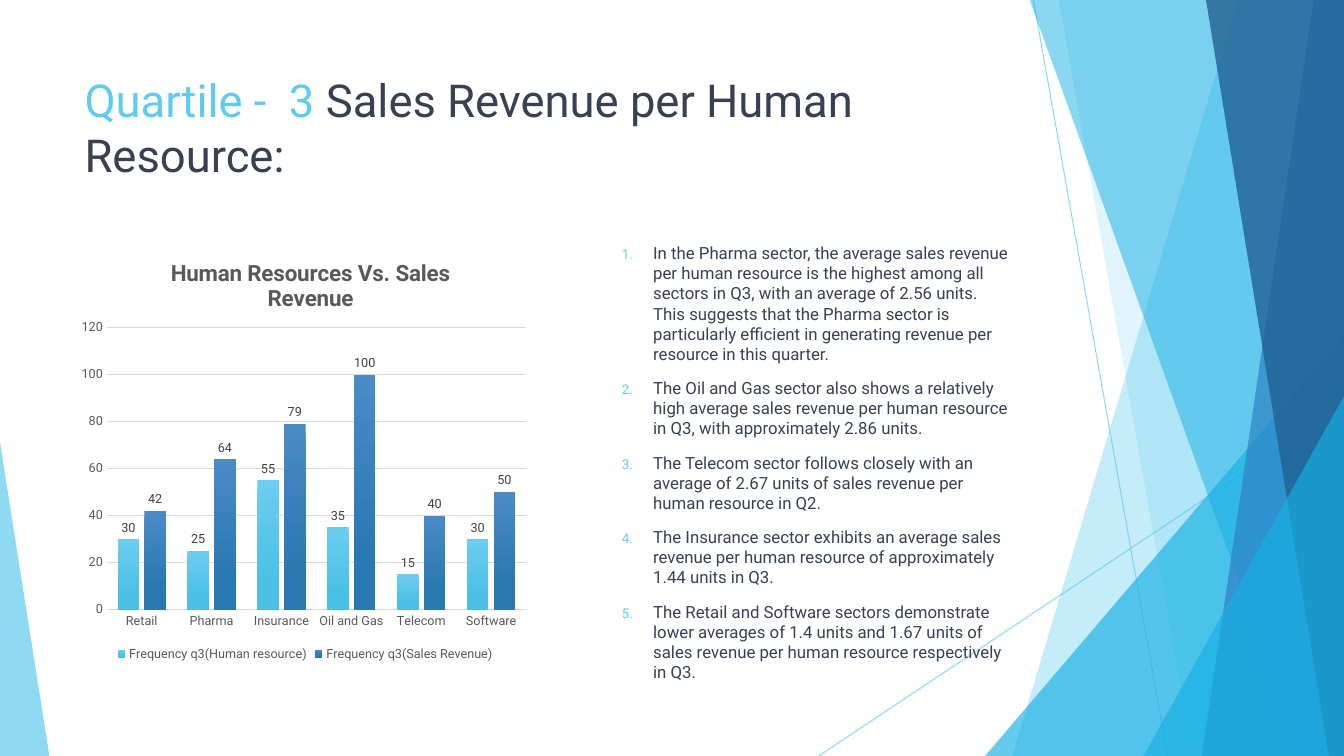
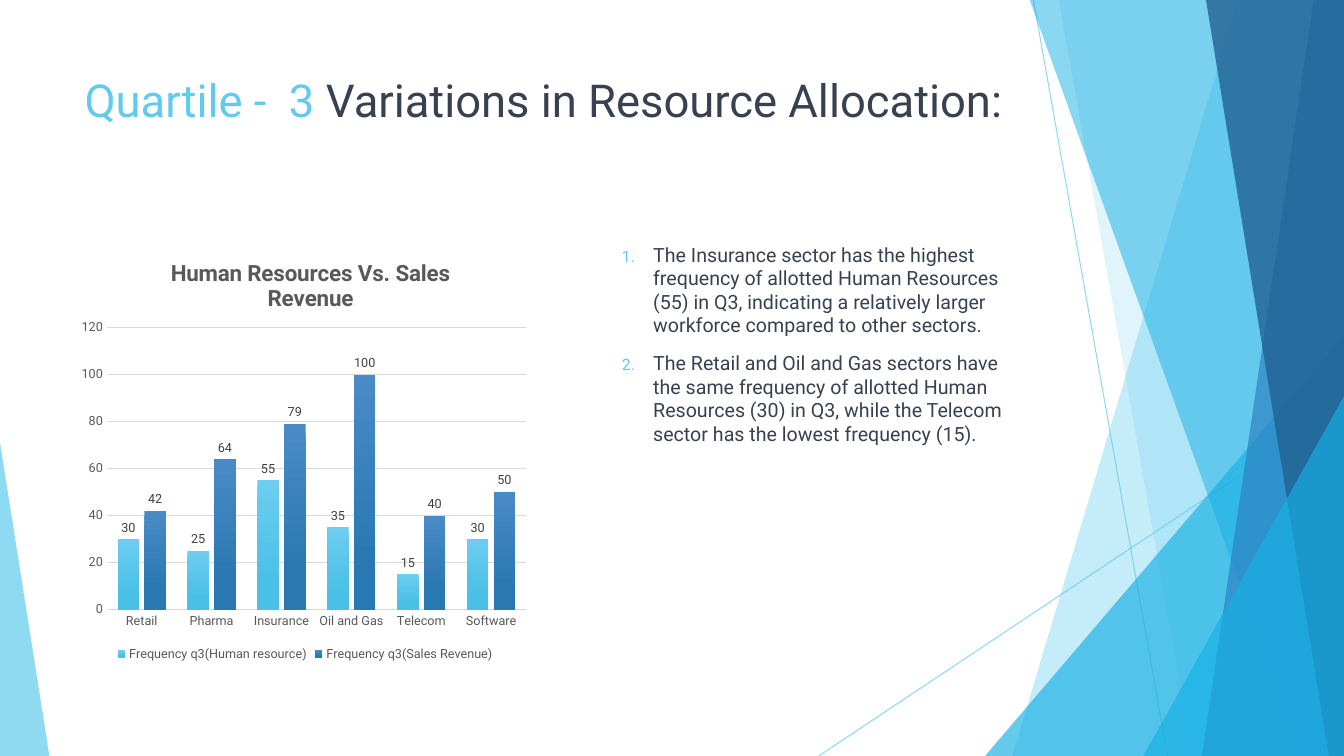
from typing import NamedTuple

import pptx
import pptx.chart.data
import pptx.dml.color
import pptx.enum.chart
import pptx.enum.shapes
import pptx.oxml
import pptx.oxml.ns
import pptx.util
from pptx.util import Inches

FONT = "Roboto"
WIDTH, HEIGHT = 13.33, 7.5
COLORS = {
    "sky": "5FCBEF", "cyan": "17B0E4", "blue": "2E83C3", "navy": "226292",
    "ink": "374151", "label": "404040", "axis": "595959", "grid": "D9D9D9",
}
TITLE_SIZE = 32.4


class Box(NamedTuple):
    left: float
    top: float
    width: float
    height: float

    def emu(self) -> list[int]:
        return [Inches(v) for v in self]


class Band(NamedTuple):
    """Strip along the right edge, given by its left corners."""
    top_x: float
    bottom_x: float
    color: str
    alpha: int


class Triangle(NamedTuple):
    box: Box
    apex: float
    color: str
    alpha: int


class Series(NamedTuple):
    name: str
    values: tuple[int, ...]
    top_color: str
    bottom_color: str


class Page(NamedTuple):
    title: str
    body_size: float
    points: tuple[str, ...]


TITLE_BOX = Box(0.74, 0.67, 9.4, 1.44)
CHART_BOX = Box(0.74, 2.36, 4.57, 4.24)
BODY_BOX = Box(5.57, 2.36, 4.58, 4.24)

RAYS = ((10.25, 0, 11.58, HEIGHT), (WIDTH, 4.03, 8.12, HEIGHT))
DECOR = (
    Band(12.28, 10.04, "sky", 36),
    Band(10.5, 11.83, "sky", 20),
    Triangle(Box(9.77, 3.33, 3.56, 4.17), 1, "cyan", 66),
    Band(10.21, 12.91, "cyan", 50),
    Band(13.03, 11.92, "blue", 70),
    Band(11.96, 13.18, "navy", 80),
    Triangle(Box(11.34, 3.93, 1.99, 3.57), 1, "cyan", 66),
    Triangle(Box(0, 4.39, 0.49, 3.11), 0, "sky", 70),
)

CATEGORIES = ("Retail", "Pharma", "Insurance", "Oil and Gas", "Telecom", "Software")
SERIES = (
    Series("Frequency q3(Human resource)", (30, 25, 55, 35, 15, 30), "6CCDF0", "4BC0E6"),
    Series("Frequency q3(Sales Revenue)", (42, 64, 79, 100, 40, 50), "4A8BC6", "2A78B2"),
)

PAGES = (
    Page("Sales Revenue per Human Resource:", 12, (
        "In the Pharma sector, the average sales revenue per human resource is the highest "
        "among all sectors in Q3, with an average of 2.56 units. This suggests that the Pharma "
        "sector is particularly efficient in generating revenue per resource in this quarter.",
        "The Oil and Gas sector also shows a relatively high average sales revenue per human "
        "resource in Q3, with approximately 2.86 units.",
        "The Telecom sector follows closely with an average of 2.67 units of sales revenue per "
        "human resource in Q2.",
        "The Insurance sector exhibits an average sales revenue per human resource of "
        "approximately 1.44 units in Q3.",
        "The Retail and Software sectors demonstrate lower averages of 1.4 units and 1.67 units "
        "of sales revenue per human resource respectively in Q3.",
    )),
    Page("Variations in Resource Allocation:", 14, (
        "The Insurance sector has the highest frequency of allotted Human Resources (55) in Q3, "
        "indicating a relatively larger workforce compared to other sectors.",
        "The Retail and Oil and Gas sectors have the same frequency of allotted Human Resources "
        "(30) in Q3, while the Telecom sector has the lowest frequency (15).",
    )),
)


def rgb(value: str) -> pptx.dml.color.RGBColor:
    return pptx.dml.color.RGBColor.from_string(COLORS.get(value, value))


def sub(parent, tag: str, **attrs: str):
    """Append a child element such as a:alpha and return it."""
    el = pptx.oxml.parse_xml(f"<{tag} {pptx.oxml.ns.nsdecls(tag.split(':')[0])}/>")
    for key, value in attrs.items():
        el.set(key, value)
    parent.append(el)
    return el


def set_color(fill, color: str, alpha: int) -> None:
    fill.solid()
    fill.fore_color.rgb = rgb(color)
    sub(fill._xPr.find(".//" + pptx.oxml.ns.qn("a:srgbClr")), "a:alpha", val=str(alpha * 1000))


def set_font(font, size: float, color: str, bold: bool = False) -> None:
    font.name, font.size, font.bold = FONT, pptx.util.Pt(size), bold
    font.color.rgb = rgb(color)


def add_run(p, text: str, *, size: float, color: str, bold: bool = False) -> None:
    r = p.add_run()
    r.text = text
    set_font(r.font, size, color, bold)


def add_text_frame(s, box: Box):
    tf = s.shapes.add_textbox(*box.emu()).text_frame
    tf.word_wrap = True
    return tf


def add_decor(s) -> None:
    for x1, y1, x2, y2 in RAYS:
        line = s.shapes.add_connector(
            pptx.enum.shapes.MSO_CONNECTOR.STRAIGHT, *(Inches(v) for v in (x1, y1, x2, y2)))
        line.line.width = pptx.util.Pt(0.75)
        set_color(line.line.fill, "sky", 70)
        sub(line._element.spPr, "a:effectLst")
    for item in DECOR:
        if isinstance(item, Band):
            corners = [(item.top_x, -0.01), (WIDTH, -0.01), (WIDTH, HEIGHT),
                       (item.bottom_x, HEIGHT)]
            start, *rest = [(Inches(x), Inches(y)) for x, y in corners]
            builder = s.shapes.build_freeform(*start)
            builder.add_line_segments(rest, close=True)
            sp = builder.convert_to_shape()
        else:
            sp = s.shapes.add_shape(
                pptx.enum.shapes.MSO_SHAPE.ISOSCELES_TRIANGLE, *item.box.emu())
            sp.adjustments[0] = item.apex
        sp.shadow.inherit = False
        set_color(sp.fill, item.color, item.alpha)
        sp.line.fill.background()


def add_title(s, text: str) -> None:
    p = add_text_frame(s, TITLE_BOX).paragraphs[0]
    add_run(p, "Quartile -  3 ", size=TITLE_SIZE, color="sky")
    add_run(p, text, size=TITLE_SIZE, color="ink")


def add_points(s, points: tuple[str, ...], size: float) -> None:
    tf = add_text_frame(s, BODY_BOX)
    for i, text in enumerate(points):
        p = tf.add_paragraph() if i else tf.paragraphs[0]
        if i:
            p.space_before = pptx.util.Pt(10)
        pPr = p._p.get_or_add_pPr()
        pPr.set("marL", str(Inches(0.81)))
        pPr.set("indent", str(Inches(-0.31)))
        sub(sub(pPr, "a:buClr"), "a:srgbClr", val=COLORS["sky"])
        sub(pPr, "a:buSzPct", val="80000")
        sub(pPr, "a:buFont", typeface=FONT)
        sub(pPr, "a:buAutoNum", type="arabicPeriod")
        add_run(p, text, size=size, color="ink")


def set_layout(parent, **fractions: float) -> None:
    """Place a chart part by fractions of the chart's size."""
    layout = parent.get_or_add_layout() if hasattr(parent, "get_or_add_layout") \
        else parent.find(pptx.oxml.ns.qn("c:layout"))
    if layout is None:
        layout = sub(parent, "c:layout")
        parent.remove(layout)
        parent.insert(0, layout)
    manual = sub(layout, "c:manualLayout")
    if "w" in fractions:
        sub(manual, "c:layoutTarget", val="inner")
    for mode in ("xMode", "yMode"):
        sub(manual, f"c:{mode}", val="edge")
    for key, value in fractions.items():
        sub(manual, f"c:{key}", val=str(value))


def add_sales_chart(s) -> None:
    data = pptx.chart.data.CategoryChartData()
    data.categories = CATEGORIES
    for series in SERIES:
        data.add_series(series.name, series.values)
    chart = s.shapes.add_chart(
        pptx.enum.chart.XL_CHART_TYPE.COLUMN_CLUSTERED, *CHART_BOX.emu(), data).chart
    set_font(chart.font, 10, "000000")

    chart.has_title = True
    add_run(chart.chart_title.text_frame.paragraphs[0], "Human Resources Vs. Sales Revenue",
            size=16, color="axis", bold=True)
    set_layout(chart.chart_title._element, x=0.2, y=0.04)
    set_layout(chart._chartSpace.chart.plotArea, x=0.07, y=0.21, w=0.91, h=0.66)

    chart.has_legend = True
    chart.legend.position = pptx.enum.chart.XL_LEGEND_POSITION.BOTTOM
    chart.legend.include_in_layout = False
    set_font(chart.legend.font, 9, "axis")

    for axis in (chart.category_axis, chart.value_axis):
        axis.major_tick_mark = axis.minor_tick_mark = pptx.enum.chart.XL_TICK_MARK.NONE
        set_font(axis.tick_labels.font, 9, "axis")
    chart.category_axis.format.line.color.rgb = rgb("grid")
    chart.category_axis.format.line.width = pptx.util.Pt(1)
    values = chart.value_axis
    values.minimum_scale, values.maximum_scale, values.major_unit = 0, 120, 20
    values.format.line.fill.background()
    values.major_gridlines.format.line.color.rgb = rgb("grid")
    values.major_gridlines.format.line.width = pptx.util.Pt(0.75)

    plot = chart.plots[0]
    plot.vary_by_categories = False
    plot.gap_width, plot.overlap = 100, -24
    plot.has_data_labels = True
    plot.data_labels.show_value = True
    plot.data_labels.position = pptx.enum.chart.XL_LABEL_POSITION.OUTSIDE_END
    set_font(plot.data_labels.font, 9, "label")
    for bars, series in zip(plot.series, SERIES):
        fill = bars.format.fill
        fill.gradient()
        fill.gradient_angle = 270
        first, last = fill.gradient_stops
        first.position, last.position = 0, 0.78
        first.color.rgb, last.color.rgb = rgb(series.top_color), rgb(series.bottom_color)


def main() -> None:
    prs = pptx.Presentation()
    prs.slide_width, prs.slide_height = Inches(WIDTH), Inches(HEIGHT)
    for page in PAGES:
        s = prs.slides.add_slide(prs.slide_layouts[6])
        add_decor(s)
        add_title(s, page.title)
        add_sales_chart(s)
        add_points(s, page.points, page.body_size)
    prs.save("out.pptx")


if __name__ == "__main__":
    main()
